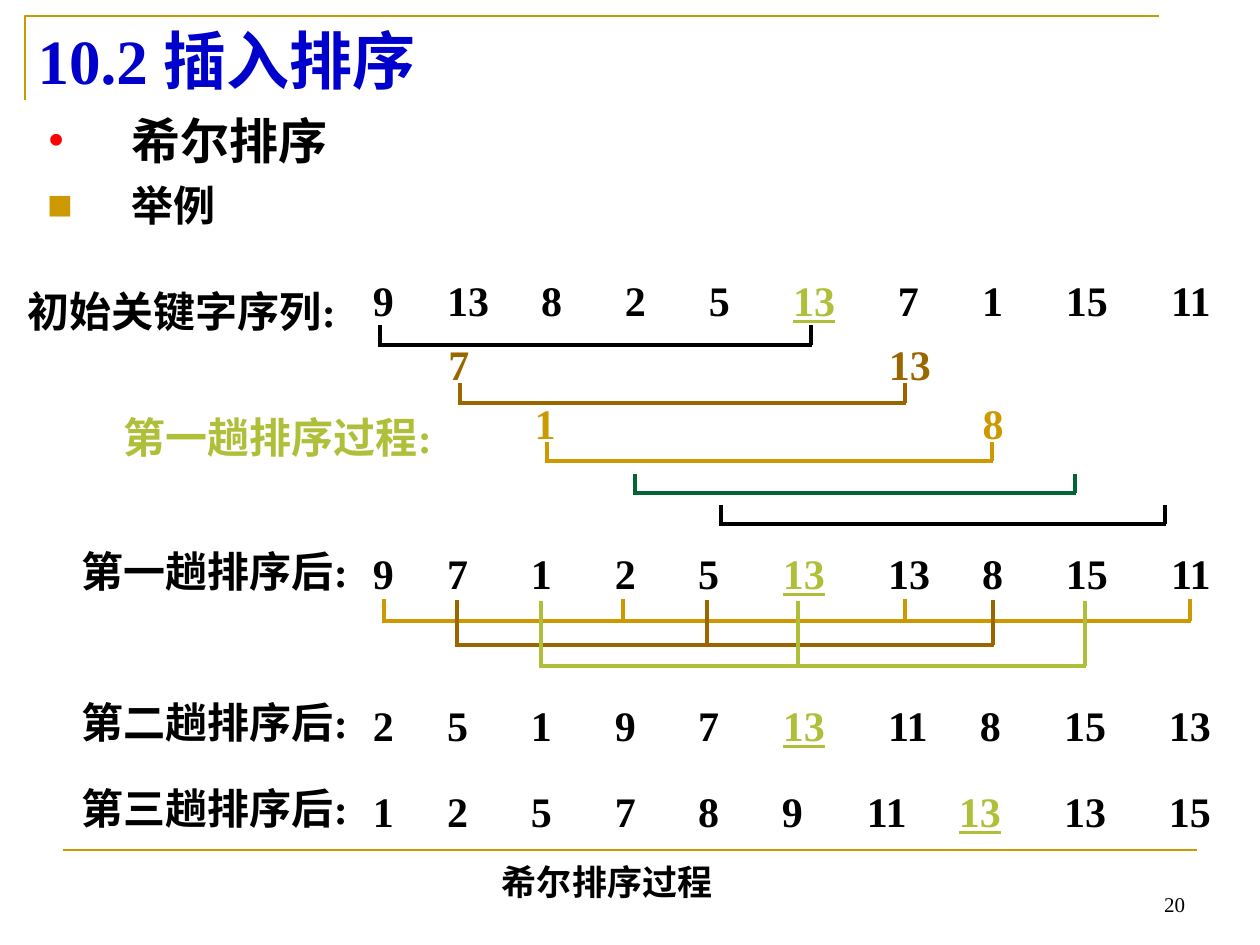
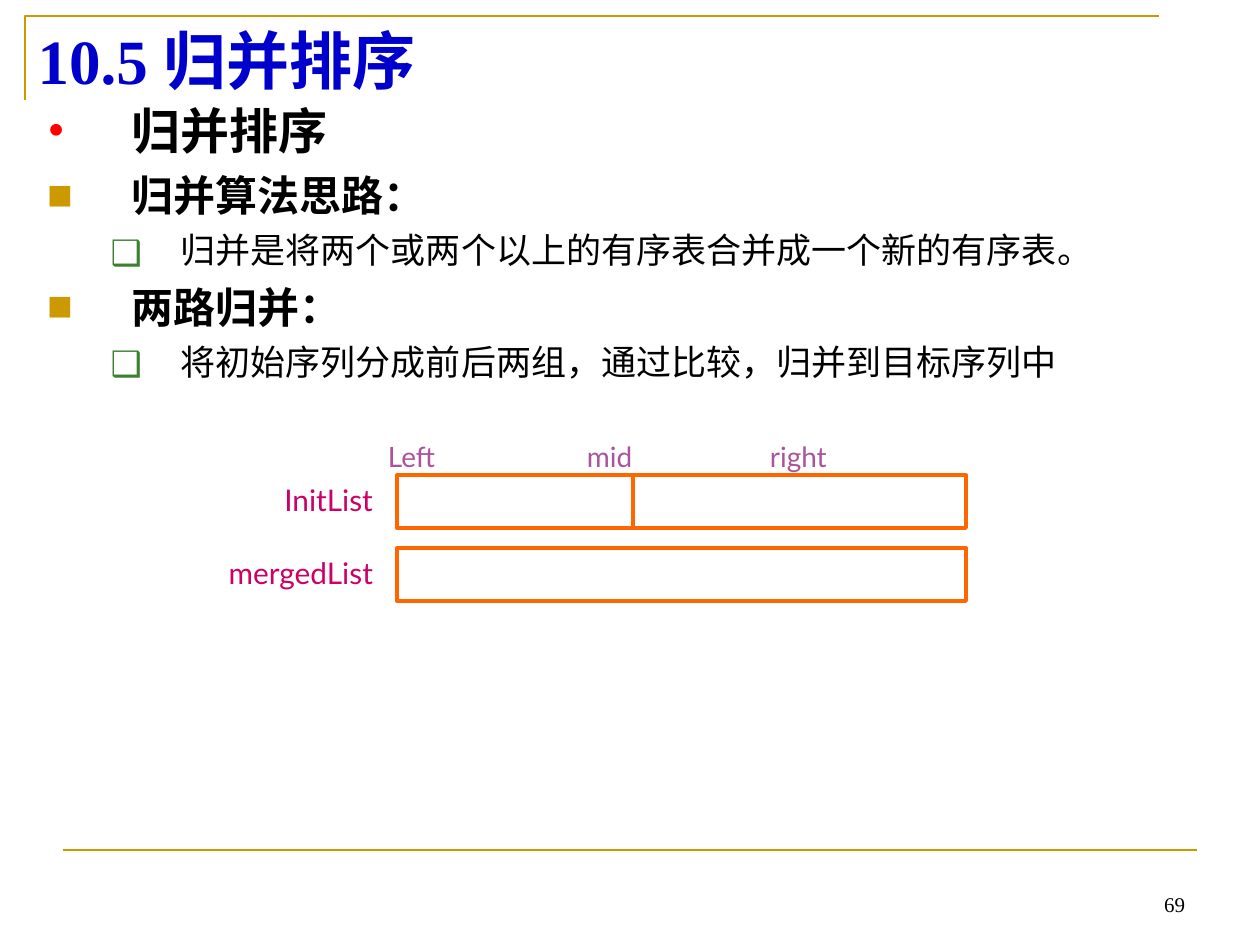
from collections import namedtuple

from lxml import etree
from pptx import Presentation
from pptx.dml.color import RGBColor
from pptx.enum.shapes import MSO_CONNECTOR, MSO_SHAPE
from pptx.enum.text import MSO_ANCHOR, MSO_AUTO_SIZE, PP_ALIGN
from pptx.oxml.ns import qn
from pptx.util import Emu, Pt

SCALE = 914400 / 126
COLORS = {
    "title": "0000CC", "text": "000000", "gold": "CC9900", "brown": "996600",
    "lime": "AFBF39", "green": "006633", "red": "FF0000", "leaf": "3B812F",
    "orange": "FF6600", "purple": "AC549B", "magenta": "CC0066",
}
SERIF, CHINESE, SANS = "Times New Roman", "Noto Sans CJK SC", "Lato"

Box = namedtuple("Box", "left top width height")
ListStyle = namedtuple(
    "ListStyle", "level size bold before margin indent bullet font color percent")
LIST_STYLES = {
    "topic": ListStyle(0, 28, True, 7, 84, -84, "•", SERIF, "red", 100),
    "heading": ListStyle(0, 24, True, 6, 84, -84, "■", CHINESE, "gold", 61),
    "detail": ListStyle(1, 20, False, 5, 133, -70, "❑", CHINESE, "leaf", 100),
}


def px(length):
    return Emu(round(length * SCALE))


def rgb(name):
    return RGBColor.from_string(COLORS[name])


def inside(box, left, top, width, height):
    return Box(box.left + left, box.top + top, width, height)


def place(shape, box):
    shape.left, shape.top, shape.width, shape.height = map(px, box)


def format_run(run, size, color="text", font=SERIF, bold=False, underline=None):
    run.font.size = Pt(size)
    run.font.name = font
    run.font.bold = bold
    run.font.underline = underline
    run.font.color.rgb = rgb(color)
    east_asian = etree.SubElement(run._r.get_or_add_rPr(), qn("a:ea"))
    east_asian.set("typeface", CHINESE)


def add_tabs(paragraph, positions):
    tab_list = etree.SubElement(paragraph._p.get_or_add_pPr(), qn("a:tabLst"))
    for position in positions:
        etree.SubElement(tab_list, qn("a:tab"), pos=str(px(position)), algn="l")


def add_run(paragraph, text):
    run = paragraph.add_run()
    run.text = text
    return run


def add_text(slide, box, text, align=PP_ALIGN.LEFT, anchor=MSO_ANCHOR.MIDDLE,
             tabs=(), marked=None, **style):
    """Add a text box; tabs align its tab-separated parts, marked is the part to highlight."""
    shape = slide.shapes.add_textbox(*map(px, box))
    frame = shape.text_frame
    frame.word_wrap = True
    frame.vertical_anchor = anchor
    frame.margin_left = frame.margin_right = frame.margin_top = frame.margin_bottom = 0
    paragraph = frame.paragraphs[0]
    paragraph.alignment = align
    if tabs:
        add_tabs(paragraph, tabs)
    for index, part in enumerate(text.split("\t")):
        if index:
            format_run(add_run(paragraph, "\t"), **style)
        emphasis = {"color": "lime", "underline": True} if index == marked else {}
        format_run(add_run(paragraph, part), **{**style, **emphasis})


def add_line(slide, start, end, color, width=2.25):
    line = slide.shapes.add_connector(MSO_CONNECTOR.STRAIGHT, *map(px, start + end))
    line.line.color.rgb = rgb(color)
    line.line.width = Pt(width)
    etree.SubElement(line._element.spPr, qn("a:effectLst"))


def add_frame(slide, number):
    builder = slide.shapes.build_freeform(25, 100, scale=SCALE)
    builder.add_line_segments([(25, 16), (1159, 16)], close=False)
    corner = builder.convert_to_shape()
    corner.shadow.inherit = False
    corner.fill.background()
    corner.line.color.rgb = rgb("gold")
    corner.line.width = Pt(1.5)
    add_line(slide, (63, 850), (1197, 850), "gold", 1.5)
    add_text(slide, Box(904, 860, 281, 57), number, align=PP_ALIGN.RIGHT,
             anchor=MSO_ANCHOR.BOTTOM, size=12)


def fill_title(slide, text):
    title = slide.shapes.title
    place(title, Box(25, 14, 1134, 90))
    frame = title.text_frame
    frame.auto_size = MSO_AUTO_SIZE.NONE
    frame.vertical_anchor = MSO_ANCHOR.MIDDLE
    paragraph = frame.paragraphs[0]
    paragraph.alignment = PP_ALIGN.LEFT
    format_run(add_run(paragraph, text), size=36, color="title", bold=True)


def add_bullet(paragraph, style):
    properties = paragraph._p.get_or_add_pPr()
    properties.set("marL", str(px(style.margin)))
    properties.set("indent", str(px(style.indent)))
    color = etree.SubElement(properties, qn("a:buClr"))
    etree.SubElement(color, qn("a:srgbClr"), val=COLORS[style.color])
    etree.SubElement(properties, qn("a:buSzPct"), val=str(style.percent * 1000))
    etree.SubElement(properties, qn("a:buFont"), typeface=style.font)
    etree.SubElement(properties, qn("a:buChar"), char=style.bullet)


def fill_list(slide, box, items):
    body = slide.placeholders[1]
    place(body, box)
    frame = body.text_frame
    frame.auto_size = MSO_AUTO_SIZE.NONE
    frame.vertical_anchor = MSO_ANCHOR.TOP
    for index, (kind, text) in enumerate(items):
        style = LIST_STYLES[kind]
        paragraph = frame.add_paragraph() if index else frame.paragraphs[0]
        paragraph.level = style.level
        paragraph.space_before = Pt(style.before if index else 0)
        add_bullet(paragraph, style)
        format_run(add_run(paragraph, text), size=style.size, font=CHINESE, bold=style.bold)


def add_slide(presentation, title, number, list_box, items):
    slide = presentation.slides.add_slide(presentation.slide_layouts[1])
    fill_title(slide, title)
    fill_list(slide, list_box, items)
    add_frame(slide, number)
    return slide


def add_bracket(slide, box, ticks, top, bottom, color):
    """Join the tick columns with a bar along the bottom."""
    left, *_, right = [box.left + tick for tick in ticks]
    base = box.top + bottom
    add_line(slide, (left - 2, base), (right + 1, base), color)
    for tick in ticks:
        add_line(slide, (box.left + tick, box.top + top), (box.left + tick, base), color)


def add_shell_sort(slide, box):
    key_rows = [
        (3, "9 13 8 2 5 13 7 1 15 11", 5, (74, 168, 252, 336, 420, 525, 609, 693, 798)),
        (276, "9 7 1 2 5 13 13 8 15 11", 5, (74, 158, 242, 325, 410, 515, 609, 693, 798)),
        (428, "2 5 1 9 7 13 11 8 15 13", 5, (74, 158, 242, 325, 410, 515, 607, 691, 796)),
        (514, "1 2 5 7 8 9 11 13 13 15", 7, (74, 158, 242, 325, 409, 494, 586, 691, 796)),
    ]
    for top, keys, marked, tabs in key_rows:
        add_text(slide, inside(box, 358, top, 860, 54), keys.replace(" ", "\t"),
                 tabs=tabs, marked=marked, size=24, bold=True)

    labels = [
        (13, 14, "初始关键字序列:", "text"), (109, 140, "第一趟排序过程:", "lime"),
        (67, 274, "第一趟排序后:", "text"), (67, 425, "第二趟排序后:", "text"),
        (67, 511, "第三趟排序后:", "text"),
    ]
    for left, top, label, color in labels:
        add_text(slide, inside(box, left, top, 340, 54), label,
                 size=24, color=color, bold=True)
    add_text(slide, inside(box, 487, 584, 330, 54), "希尔排序过程", size=20, bold=True)

    swapped_keys = [
        (444, 94, "7", "brown"), (895, 94, "13", "brown"),
        (530, 153, "1", "gold"), (978, 153, "8", "gold"),
    ]
    for center, middle, key, color in swapped_keys:
        add_text(slide, inside(box, center - 25, middle - 25, 50, 50), key,
                 align=PP_ALIGN.CENTER, size=24, color=color, bold=True)

    brackets = [
        ((365, 796), 55, 75, "text"),
        ((445, 890), 113, 133, "brown"),
        ((532, 977), 172, 191, "gold"),
        ((620, 1060), 204, 223, "green"),
        ((706, 1150), 235, 254, "text"),
        ((369, 608, 890, 1175), 329, 351, "gold"),
        ((442, 692, 978), 330, 375, "brown"),
        ((526, 783, 1070), 331, 396, "lime"),
    ]
    for ticks, top, bottom, color in brackets:
        add_bracket(slide, box, ticks, top, bottom, color)


def add_list_cell(slide, box):
    cell = slide.shapes.add_shape(MSO_SHAPE.RECTANGLE, *map(px, box))
    cell.shadow.inherit = False
    cell.fill.background()
    cell.line.color.rgb = rgb("orange")
    cell.line.width = Pt(2.25)


def add_merge_lists(slide, box):
    add_text(slide, inside(box, 188, 0, 590, 36), "Left\tmid\tright",
             tabs=(199, 382), size=16, color="purple", font=SANS)
    rows = [("InitList", 37, (236, 333)), ("mergedList", 110, (569,))]
    for name, top, widths in rows:
        add_text(slide, inside(box, 0, top, 173, 50), name,
                 align=PP_ALIGN.RIGHT, size=17, color="magenta", font=SANS)
        left = 197
        for width in widths:
            add_list_cell(slide, inside(box, left, top, width, 53))
            left += width


def main():
    presentation = Presentation()
    presentation.slide_width, presentation.slide_height = px(1260), px(945)

    shell_slide = add_slide(presentation, "10.2 插入排序", "20", Box(35, 104, 1131, 576), [
        ("topic", "希尔排序"),
        ("heading", "举例"),
    ])
    add_shell_sort(shell_slide, Box(15, 270, 1200, 640))

    merge_slide = add_slide(presentation, "10.5 归并排序", "69", Box(35, 94, 1181, 724), [
        ("topic", "归并排序"),
        ("heading", "归并算法思路："),
        ("detail", "归并是将两个或两个以上的有序表合并成一个新的有序表。"),
        ("heading", "两路归并："),
        ("detail", "将初始序列分成前后两组，通过比较，归并到目标序列中"),
    ])
    add_merge_lists(merge_slide, Box(200, 438, 770, 170))
    presentation.save("out.pptx")


if __name__ == "__main__":
    main()
